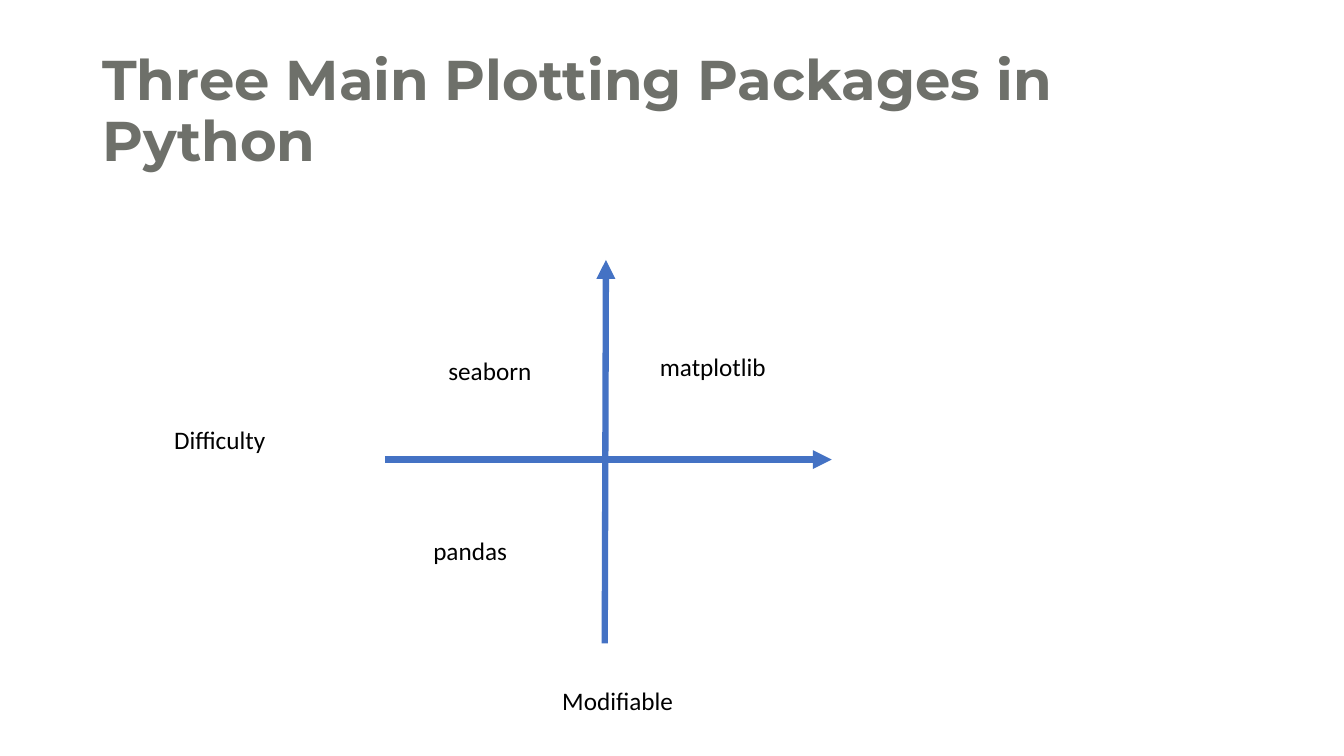
"""Build a slide that places three plotting packages on two axes."""
from typing import NamedTuple

from pptx import Presentation
from pptx.dml.color import RGBColor
from pptx.enum.shapes import MSO_CONNECTOR as Link
from pptx.enum.text import MSO_ANCHOR as Anchor, MSO_AUTO_SIZE as Fit
from pptx.oxml.ns import qn
from pptx.oxml.xmlchemy import OxmlElement as Element
from pptx.shapes.autoshape import Shape
from pptx.slide import Slide
from pptx.util import Cm, Pt

GREY = RGBColor(0x6E, 0x70, 0x6A)
BLACK = RGBColor(0, 0, 0)
BLUE = RGBColor(0x44, 0x72, 0xC4)


class Label(NamedTuple):
    text: str
    left: float
    top: float
    width: float = 4.57
    height: float = 1.02
    font: str = "Calibri"
    size: int = 18
    color: RGBColor = BLACK
    bold: bool = False


class Axis(NamedTuple):
    x1: float
    y1: float
    x2: float
    y2: float


TITLE = Label("Three Main Plotting Packages in Python", 2.33, 1.01, 29.21, 3.68,
              "Montserrat", 40, GREY, True)
NAMES = [
    Label("Difficulty", 4.14, 10.57),
    Label("Modifiable", 13.92, 17.14),
    Label("pandas", 10.67, 13.36),
    Label("seaborn", 11.05, 8.84),
    Label("matplotlib", 16.38, 8.74),
]
AXES = [Axis(9.7, 11.58, 20.96, 11.58), Axis(15.24, 16.21, 15.27, 6.55)]


def add_label(slide: Slide, label: Label) -> Shape:
    """Add a text box and return it."""
    box = slide.shapes.add_textbox(Cm(label.left), Cm(label.top),
                                   Cm(label.width), Cm(label.height))
    frame = box.text_frame
    frame.word_wrap = True
    frame.text = label.text
    font = frame.paragraphs[0].runs[0].font
    font.name = label.font
    font.size = Pt(label.size)
    font.bold = label.bold
    font.color.rgb = label.color
    return box


def add_axis(slide: Slide, axis: Axis) -> None:
    """Add a thick line with an arrowhead at its end."""
    line = slide.shapes.add_connector(Link.STRAIGHT, Cm(axis.x1), Cm(axis.y1),
                                      Cm(axis.x2), Cm(axis.y2))
    line.line.color.rgb = BLUE
    line.line.width = Pt(4.5)
    props = line._element.spPr
    head = Element("a:tailEnd")
    head.set("type", "triangle")
    props.find(qn("a:ln")).append(head)
    props.append(Element("a:effectLst"))


def main() -> None:
    """Build and save the slide."""
    deck = Presentation()
    deck.slide_width, deck.slide_height = Cm(33.87), Cm(19.05)
    slide = deck.slides.add_slide(deck.slide_layouts[6])
    title = add_label(slide, TITLE).text_frame
    title.vertical_anchor = Anchor.MIDDLE
    title.paragraphs[0].line_spacing = 0.9
    for name in NAMES:
        add_label(slide, name).text_frame.auto_size = Fit.SHAPE_TO_FIT_TEXT
    for axis in AXES:
        add_axis(slide, axis)
    deck.save("out.pptx")


if __name__ == "__main__":
    main()
